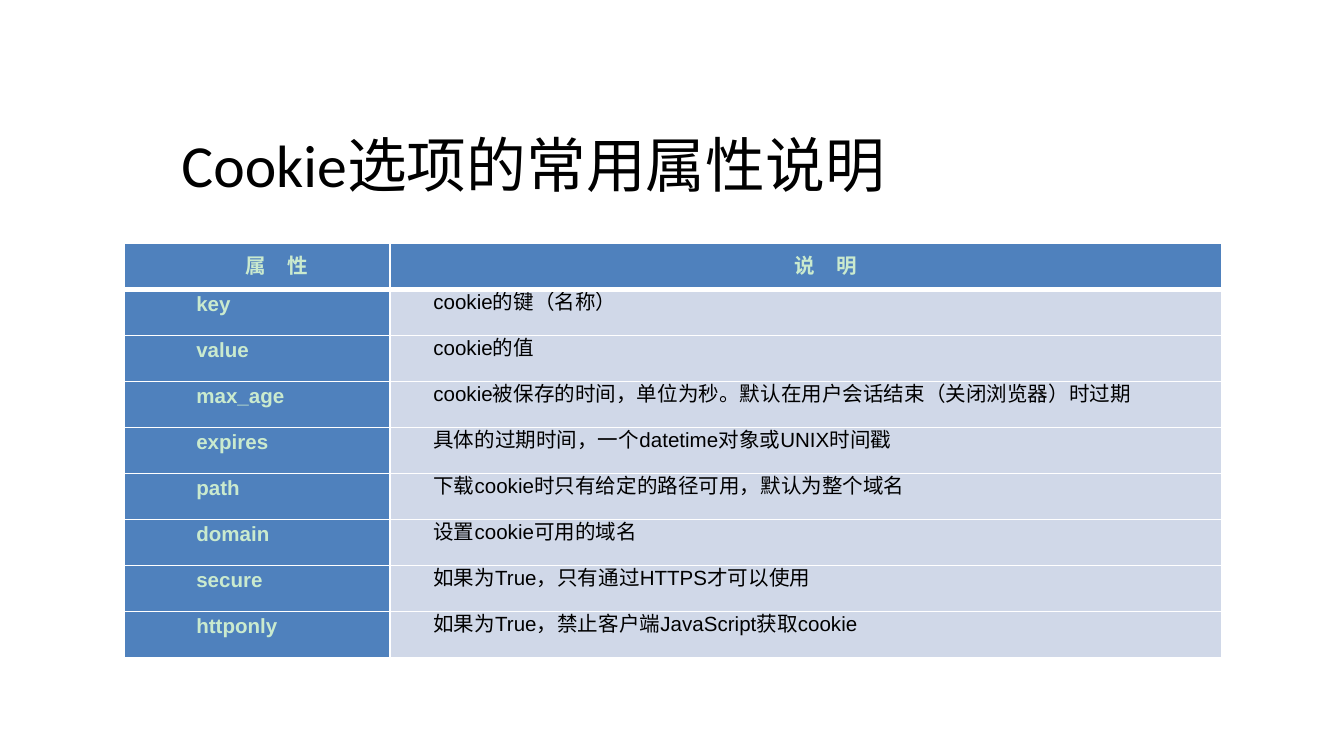
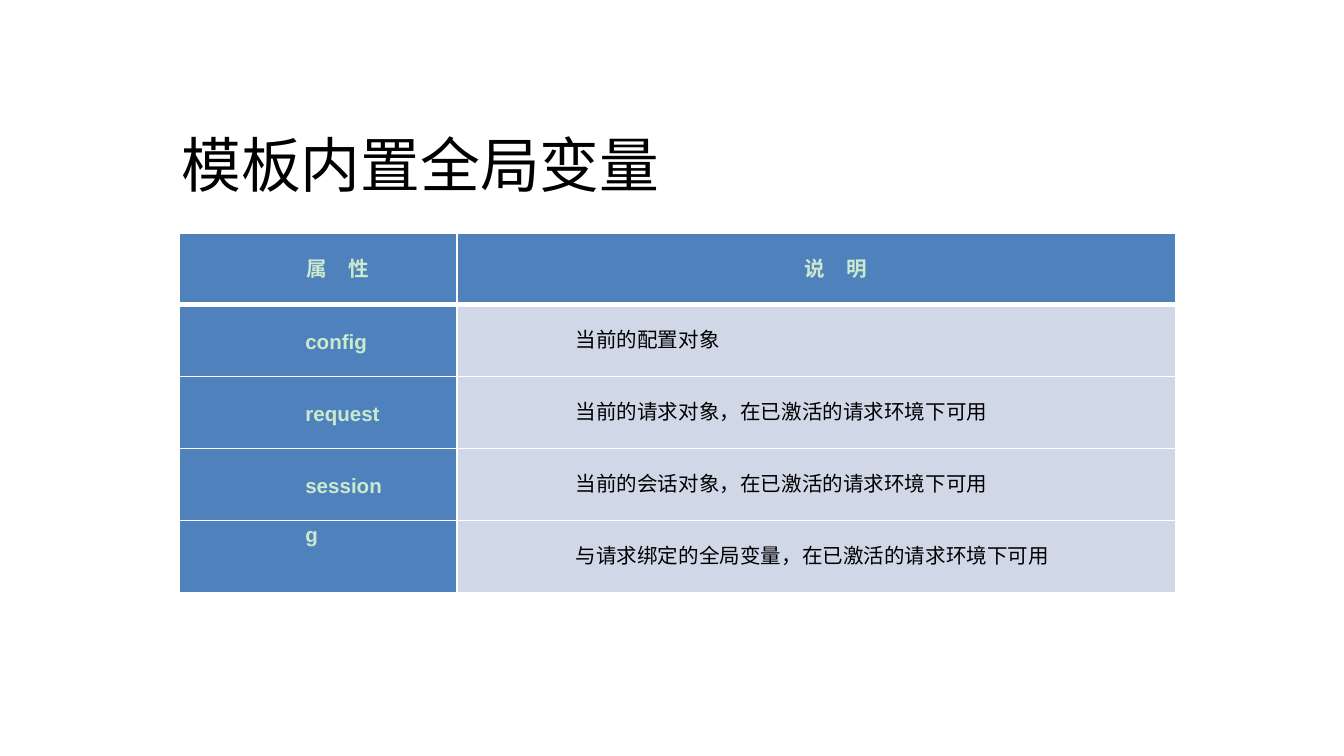
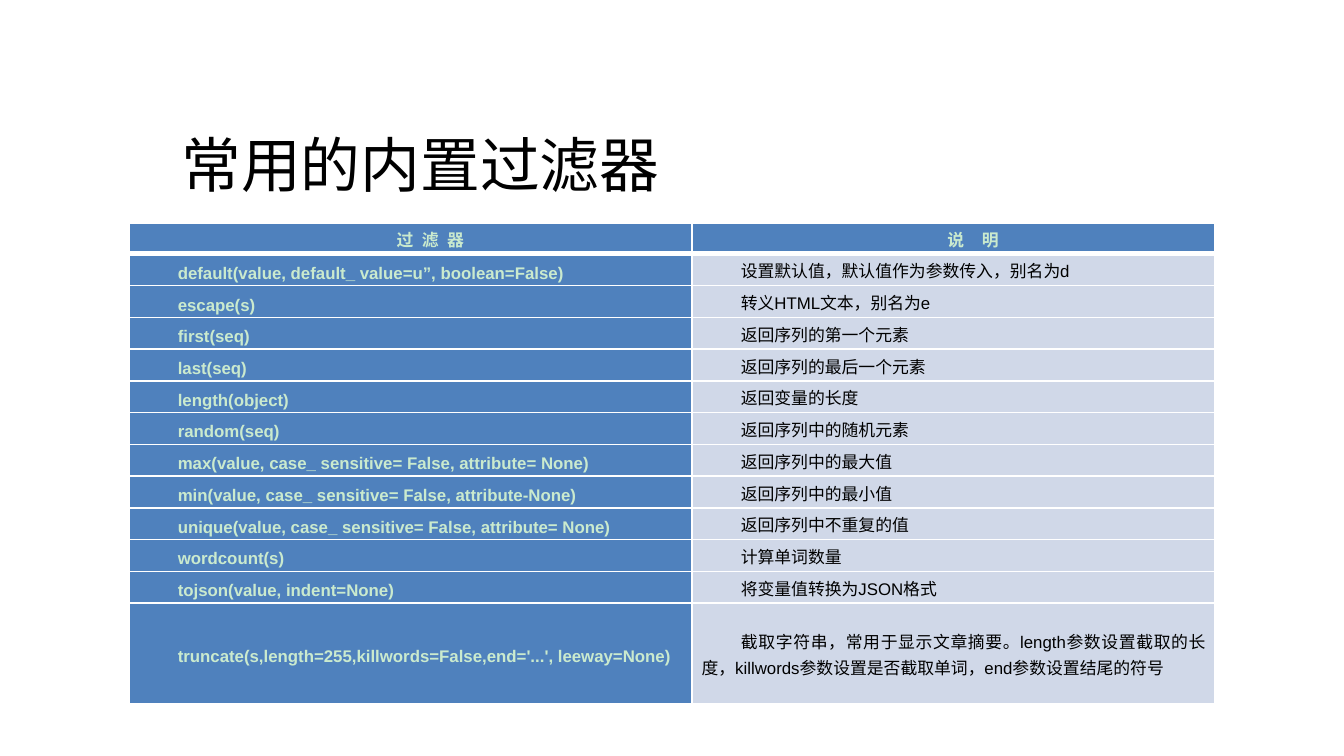
from pptx import Presentation
from pptx.dml.color import RGBColor
from pptx.enum.text import MSO_ANCHOR, PP_ALIGN
from pptx.oxml.ns import qn
from pptx.util import Cm, Pt
from lxml import etree

MIDDLE, TOP = MSO_ANCHOR.MIDDLE, MSO_ANCHOR.TOP
LEFT, CENTER, JUST = PP_ALIGN.LEFT, PP_ALIGN.CENTER, PP_ALIGN.JUSTIFY

COLORS = {"back": "FFFFFF", "line": "FFFFFF", "blue": "4F81BD",
          "pale": "D0D8E8", "mint": "CAEACE", "ink": "000000"}
BLANK = 6
HEAD_IN = (0, 0.74)  # left margin and first-line indent of header cells, cm

COOKIE = [
    ("key", "cookie的键（名称）"),
    ("value", "cookie的值"),
    ("max_age", "cookie被保存的时间，单位为秒。默认在用户会话结束（关闭浏览器）时过期"),
    ("expires", "具体的过期时间，一个datetime对象或UNIX时间戳"),
    ("path", "下载cookie时只有给定的路径可用，默认为整个域名"),
    ("domain", "设置cookie可用的域名"),
    ("secure", "如果为True，只有通过HTTPS才可以使用"),
    ("httponly", "如果为True，禁止客户端JavaScript获取cookie"),
]
GLOBALS = [
    ("config", "当前的配置对象"),
    ("request", "当前的请求对象，在已激活的请求环境下可用"),
    ("session", "当前的会话对象，在已激活的请求环境下可用"),
    ("g", "与请求绑定的全局变量，在已激活的请求环境下可用"),
]
FILTERS = [
    ("default(value, default_ value=u”, boolean=False)", "设置默认值，默认值作为参数传入，别名为d"),
    ("escape(s)", "转义HTML文本，别名为e"),
    ("first(seq)", "返回序列的第一个元素"),
    ("last(seq)", "返回序列的最后一个元素"),
    ("length(object)", "返回变量的长度"),
    ("random(seq)", "返回序列中的随机元素"),
    ("max(value, case_ sensitive= False, attribute= None)", "返回序列中的最大值"),
    ("min(value, case_ sensitive= False, attribute-None)", "返回序列中的最小值"),
    ("unique(value, case_ sensitive= False, attribute= None)", "返回序列中不重复的值"),
    ("wordcount(s)", "计算单词数量"),
    ("tojson(value, indent=None)", "将变量值转换为JSON格式"),
    ("truncate(s,length=255,killwords=False,end='...', leeway=None)",
     "截取字符串，常用于显示文章摘要。length参数设置截取的长度，killwords参数设置是否截取单词，end参数设置结尾的符号"),
]

# One entry per slide; lengths in cm, header texts with letter spacing in pt
PAGES = [
    dict(title="Cookie选项的常用属性说明", body=COOKIE, at=(2.34, 4.6), cols=(5.03, 15.72),
         rows=[0.87] * 9, head=[("属 性", 4.5), ("说 明", 4.5)], size=11,
         inset=[(0, 1.19), (0, 0.64)], top=[(r, c) for r in range(1, 9) for c in (0, 1)]),
    dict(title="模板内置全局变量", body=GLOBALS, at=(3.38, 4.4), cols=(5.26, 13.59),
         rows=[1.36] * 5, head=[("属 性", 4.5), ("说 明", 4.5)], size=11,
         inset=[(1.47, 0.74), (0, 2.06)], top=[(4, 0)]),
    dict(title="常用的内置过滤器", body=FILTERS, at=(2.44, 4.22), cols=(10.64, 9.88),
         rows=[0.58] + [0.6] * 11 + [1.9], head=[("过 滤 器", 1.25), ("说 明", 3.75)], size=9,
         inset=[HEAD_IN, HEAD_IN], top=[]),
]


def rgb(name):
    return RGBColor.from_string(COLORS[name])


def write(frame, text, size, font="Arial", color="ink", bold=False, align=LEFT,
          inset=None, pitch=None, track=0):
    """Fill a text frame with one formatted paragraph."""
    para = frame.paragraphs[0]
    para.alignment = align
    if pitch:
        para.line_spacing = Pt(pitch)
    if inset:
        props = para._p.get_or_add_pPr()
        for key, val in zip(("marL", "indent"), inset):
            props.set(key, str(Cm(val)))
    run = para.add_run()
    run.text = text
    run.font.size, run.font.name, run.font.bold = Pt(size), font, bold
    run.font.color.rgb = rgb(color)
    if track:
        run.font._element.set("spc", str(int(track * 100)))


def edge(cell, **widths):
    """Draw cell borders; keys are L, R, T, B and values are points."""
    props = cell._tc.get_or_add_tcPr()
    for side, width in widths.items():
        line = etree.SubElement(props, qn("a:ln" + side), w=str(Pt(width)))
        fill = etree.SubElement(line, qn("a:solidFill"))
        etree.SubElement(fill, qn("a:srgbClr"), val=COLORS["line"])


def title(slide, text, left, top, width, height):
    box = slide.shapes.add_textbox(Cm(left), Cm(top), Cm(width), Cm(height))
    box.text_frame.word_wrap = True
    write(box.text_frame, text, 32, font="Calibri")


def grid(slide, page):
    """Add the two-column table of a page."""
    rows, cols, size = page["rows"], page["cols"], page["size"]
    left, top = page["at"]
    table = slide.shapes.add_table(len(rows), len(cols), Cm(left), Cm(top),
                                   Cm(sum(cols)), Cm(sum(rows))).table
    table.horz_banding = False
    for col, width in zip(table.columns, cols):
        col.width = Cm(width)
    for row, height in zip(table.rows, rows):
        row.height = Cm(height)

    for r in range(len(rows)):
        for c in range(len(cols)):
            cell = table.cell(r, c)
            cell.margin_left = cell.margin_right = Cm(0.18)
            cell.margin_top = cell.margin_bottom = 0
            cell.vertical_anchor = TOP if (r, c) in page["top"] else MIDDLE
            # The rule under the header is thicker
            edge(cell, L=1, R=1, T=3 if r == 1 else 1, B=3 if r == 0 else 1)
            strong = r == 0 or c == 0
            cell.fill.solid()
            cell.fill.fore_color.rgb = rgb("blue" if strong else "pale")
            look = dict(size=size, pitch=14, bold=strong, color="mint" if strong else "ink")
            if r == 0:
                text, track = page["head"][c]
                write(cell.text_frame, text, align=CENTER, inset=HEAD_IN, track=track, **look)
            else:
                write(cell.text_frame, page["body"][r - 1][c], align=JUST,
                      inset=page["inset"][c], **look)


def main():
    deck = Presentation()
    deck.slide_width, deck.slide_height = Cm(25.4), Cm(14.29)
    back = deck.slide_master.background.fill
    back.solid()
    back.fore_color.rgb = rgb("back")
    for page in PAGES:
        slide = deck.slides.add_slide(deck.slide_layouts[BLANK])
        title(slide, page["title"], 3.18, 2.29, 15.44, 1.7)
        grid(slide, page)
    deck.save("out.pptx")


if __name__ == "__main__":
    main()
